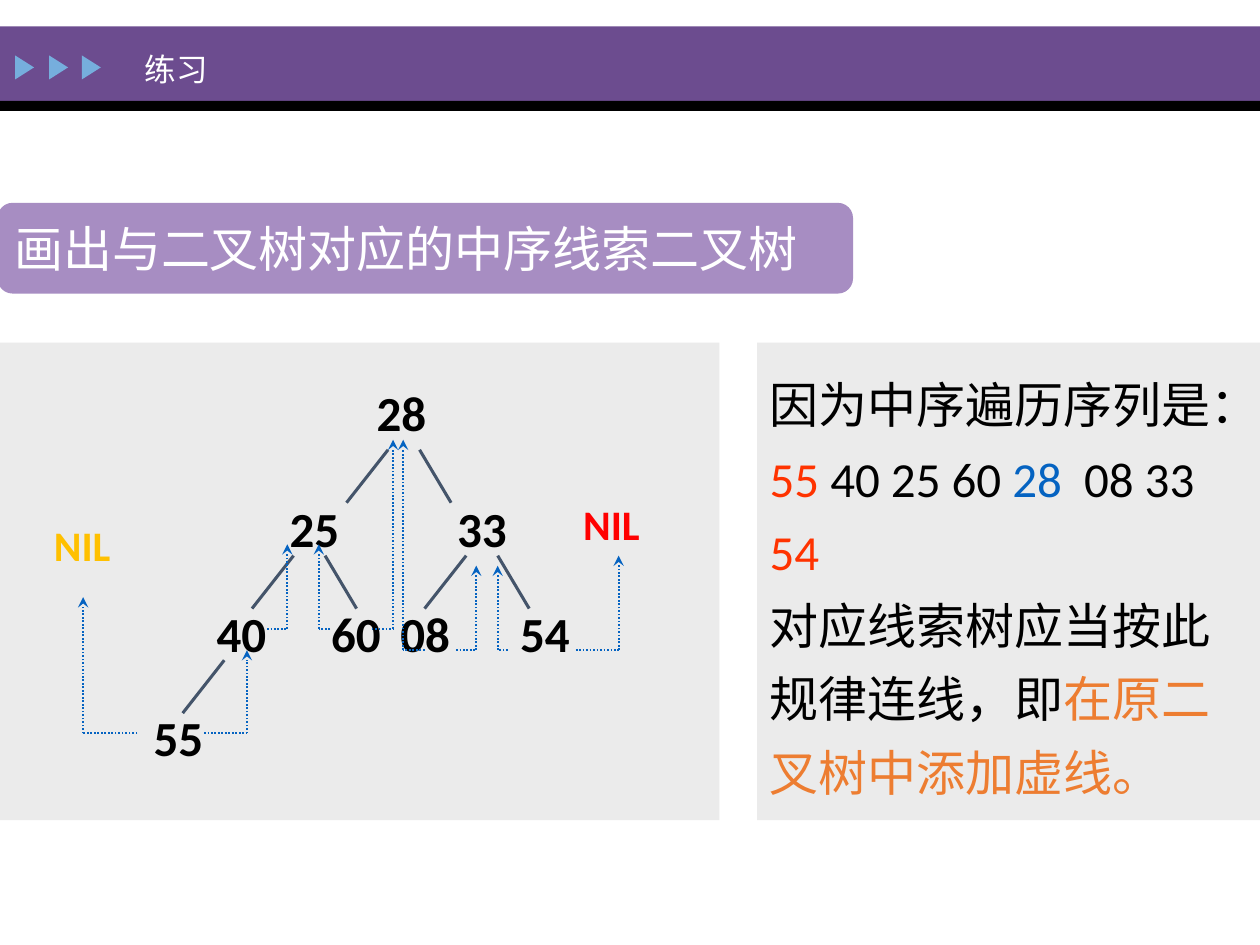
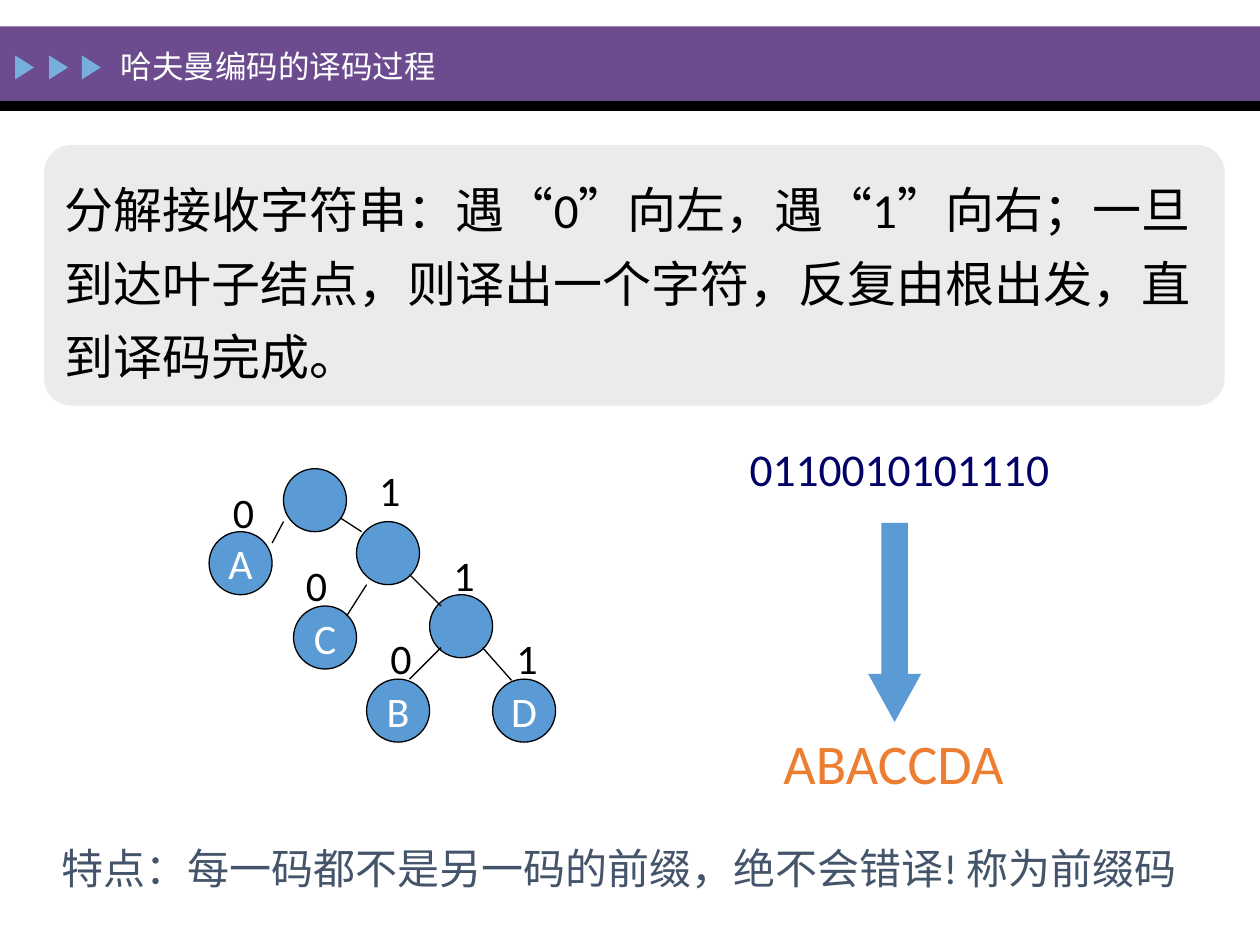
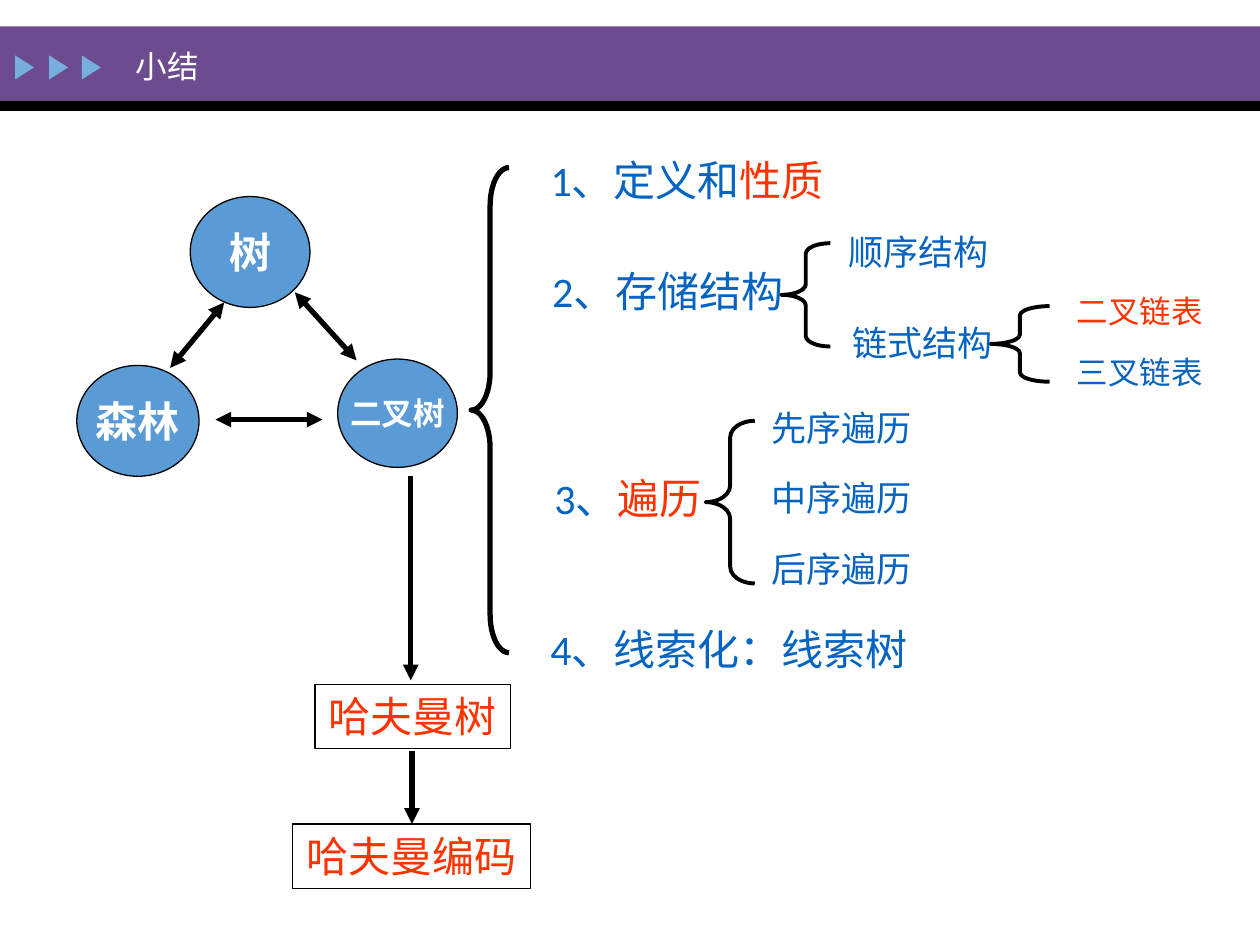
import pptx
import pptx.util
import pptx.dml.color
import pptx.enum.dml
import pptx.enum.shapes
import pptx.enum.text
import pptx.oxml.ns
from lxml import etree

Inches = pptx.util.Inches
Pt = pptx.util.Pt
RGBColor = pptx.dml.color.RGBColor
SHAPE = pptx.enum.shapes.MSO_SHAPE
ANCHOR = pptx.enum.text.MSO_ANCHOR
ALIGN = pptx.enum.text.PP_ALIGN
AUTO_SIZE = pptx.enum.text.MSO_AUTO_SIZE
DOTTED = pptx.enum.dml.MSO_LINE.ROUND_DOT

# Colours
PURPLE = RGBColor(0x6C, 0x4C, 0x8F)
LILAC = RGBColor(0xA7, 0x8D, 0xC2)
SKY = RGBColor(0x76, 0xAE, 0xDD)
BLUE = RGBColor(0x5B, 0x9B, 0xD5)
LINK_BLUE = RGBColor(0x05, 0x63, 0xC1)
NAVY = RGBColor(0x00, 0x00, 0x66)
SLATE = RGBColor(0x44, 0x54, 0x6A)
GRAY = RGBColor(0xEB, 0xEB, 0xEB)
ORANGE = RGBColor(0xED, 0x7D, 0x31)
VERMILION = RGBColor(0xFF, 0x33, 0x00)
RED = RGBColor(0xFF, 0x00, 0x00)
GOLD = RGBColor(0xFF, 0xC0, 0x00)
BLACK = RGBColor(0x00, 0x00, 0x00)
WHITE = RGBColor(0xFF, 0xFF, 0xFF)

FONT = "Calibri"


def write(shape, *paragraphs, size=24, color=BLACK, bold=False, align=ALIGN.LEFT,
          anchor=ANCHOR.TOP, wrap=True, grow=False, spacing=None):
    """Fill a shape with paragraphs: a string, or a list of (text, color) runs."""
    frame = shape.text_frame
    frame.word_wrap = wrap
    frame.vertical_anchor = anchor
    frame.auto_size = AUTO_SIZE.SHAPE_TO_FIT_TEXT if grow else AUTO_SIZE.NONE
    for index, content in enumerate(paragraphs):
        paragraph = frame.add_paragraph() if index else frame.paragraphs[0]
        paragraph.alignment = align
        if spacing:
            paragraph.line_spacing = spacing
        runs = [(content, color)] if isinstance(content, str) else content
        for text, run_color in runs:
            run = paragraph.add_run()
            run.text = text
            run.font.name = FONT
            run.font.size = Pt(size)
            run.font.bold = bold
            run.font.color.rgb = run_color


class Deck:
    def __init__(self):
        self.presentation = pptx.Presentation()
        self.presentation.slide_width = Inches(10)
        self.presentation.slide_height = Inches(7.5)
        self.slide = None

    def new_slide(self, title, left, top, width, height):
        """Start a slide with the header band, its three markers and a title."""
        self.slide = self.presentation.slides.add_slide(self.presentation.slide_layouts[6])
        self.shape(SHAPE.RECTANGLE, 0, 0.21, 10, 0.59, fill=PURPLE)
        self.shape(SHAPE.RECTANGLE, 0, 0.8, 10, 0.08, fill=BLACK)
        for marker_left in (0.1, 0.37, 0.63):
            marker = self.shape(SHAPE.ISOSCELES_TRIANGLE, marker_left, 0.46, 0.19, 0.15, fill=SKY)
            marker.rotation = 90
        self.text(left, top, width, height, title, size=18, color=WHITE,
                  anchor=ANCHOR.MIDDLE, grow=False)

    def shape(self, kind, left, top, width, height, fill=None, line=None,
              weight=0.75, adjustments=()):
        shape = self.slide.shapes.add_shape(
            kind, Inches(left), Inches(top), Inches(width), Inches(height))
        shape.shadow.inherit = False
        for index, value in enumerate(adjustments):
            shape.adjustments[index] = value
        if fill is None:
            shape.fill.background()
        else:
            shape.fill.solid()
            shape.fill.fore_color.rgb = fill
        if line is None:
            shape.line.fill.background()
        else:
            shape.line.color.rgb = line
            shape.line.width = Pt(weight)
        return shape

    def text(self, left, top, width, height, *paragraphs, grow=True, **style):
        box = self.slide.shapes.add_textbox(
            Inches(left), Inches(top), Inches(width), Inches(height))
        write(box, *paragraphs, grow=grow, **style)

    def line(self, start, end, color=BLACK, weight=0.75, dash=None, head=None, tail=None):
        connector = self.slide.shapes.add_connector(
            pptx.enum.shapes.MSO_CONNECTOR.STRAIGHT,
            *(Inches(value) for value in (*start, *end)))
        connector.line.color.rgb = color
        connector.line.width = Pt(weight)
        if dash:
            connector.line.dash_style = dash
        outline = connector.line._get_or_add_ln()
        for tag, arrow in (("a:headEnd", head), ("a:tailEnd", tail)):
            if arrow:
                etree.SubElement(outline, pptx.oxml.ns.qn(tag), type=arrow)
        etree.SubElement(connector._element.spPr, pptx.oxml.ns.qn("a:effectLst"))

    def thread(self, left, level, turn, tip):
        """Dotted thread: sideways from a node, then up to its target."""
        self.line((left, level), (turn, level), LINK_BLUE, 1, DOTTED)
        self.line((turn, level), (turn, tip), LINK_BLUE, 1, DOTTED, tail="stealth")

    def circle(self, left, top, width, height, label=None, **style):
        circle = self.shape(SHAPE.OVAL, left, top, width, height, fill=BLUE, line=BLACK)
        if label:
            write(circle, label, color=WHITE, align=ALIGN.CENTER,
                  anchor=ANCHOR.MIDDLE, wrap=False, **style)

    def brace(self, left, top, width, height, curve, weight=2.25):
        self.shape(SHAPE.LEFT_BRACE, left, top, width, height, line=BLACK,
                   weight=weight, adjustments=(curve, 0.5))

    def frame(self, left, top, width, height, label):
        frame = self.shape(SHAPE.RECTANGLE, left, top, width, height, line=BLACK)
        write(frame, label, color=VERMILION, align=ALIGN.CENTER, wrap=False, grow=True)


deck = Deck()

# Slide 1: threaded binary tree exercise
deck.new_slide("练习", 1.05, 0.17, 2.56, 0.75)
for left, width in ((0, 5.71), (6.01, 3.99)):
    deck.shape(SHAPE.RECTANGLE, left, 2.72, width, 3.79, fill=GRAY)
banner = deck.shape(SHAPE.ROUNDED_RECTANGLE, -0.02, 1.61, 6.79, 0.72, fill=LILAC)
write(banner, "画出与二叉树对应的中序线索二叉树", size=28, color=WHITE, anchor=ANCHOR.MIDDLE)

tree_nodes = (("28", 2.89, 2.99), ("25", 2.2, 3.91), ("33", 3.53, 3.91), ("40", 1.62, 4.74),
              ("60", 2.53, 4.74), ("08", 3.08, 4.74), ("54", 4.03, 4.74), ("55", 1.12, 5.57))
for label, left, top in tree_nodes:
    deck.text(left, top, 0.59, 0.57, label, size=28, bold=True, wrap=False)

# Each branch: parent end, top, child end
branches = ((3.08, 3.57, 2.75), (3.33, 3.57, 3.58), (2.33, 4.41, 2), (2.58, 4.41, 2.83),
            (3.7, 4.41, 3.37), (3.95, 4.41, 4.2), (1.78, 5.24, 1.45))
for parent, top, child in branches:
    deck.line((parent, top), (child, top + 0.42), SLATE, 1.75)

# Each thread: start, level, turn, tip
threads = ((1.09, 5.82, 0.66, 4.74), (1.62, 5.82, 1.96, 5.16), (2.12, 4.99, 2.28, 4.32),
           (2.62, 4.99, 2.53, 4.32), (2.95, 4.99, 3.12, 3.49), (3.37, 5.16, 3.2, 3.49),
           (3.62, 5.16, 3.78, 4.49), (4.03, 5.16, 3.95, 4.49), (4.57, 5.16, 4.91, 4.41))
for thread in threads:
    deck.thread(*thread)
for left, top, color in ((0.33, 4.07, GOLD), (4.53, 3.91, RED)):
    deck.text(left, top, 0.8, 0.51, "NIL", color=color, bold=True, wrap=False)

deck.text(6.01, 2.81, 3.99, 3.64,
          [("因为中序遍历序列是：", BLACK), ("55", VERMILION), (" 40 25 60 ", BLACK),
           ("28", LINK_BLUE), ("  08 33 ", BLACK), ("54", VERMILION)],
          [("对应线索树应当按此规律连线，即", BLACK), ("在原二叉树中添加虚线。", ORANGE)],
          size=28, spacing=1.25)

# Slide 2: Huffman decoding
deck.new_slide("哈夫曼编码的译码过程", 0.86, 0.24, 5, 0.56)
rule = deck.shape(SHAPE.ROUNDED_RECTANGLE, 0.35, 1.15, 9.37, 2.07, fill=GRAY,
                  adjustments=(0.106,))
write(rule, "分解接收字符串：遇“0”向左，遇“1”向右；一旦到达叶子结点，则译出一个字符，"
            "反复由根出发，直到译码完成。",
      size=28, anchor=ANCHOR.MIDDLE, spacing=1.25, grow=True)

code_nodes = ((2.25, 3.72, None), (2.83, 4.14, None), (3.41, 4.72, None),
              (1.66, 4.22, "A"), (2.33, 4.81, "C"), (2.91, 5.39, "B"), (3.91, 5.39, "D"))
for left, top, label in code_nodes:
    deck.circle(left, top, 0.5, 0.5, label)
code_branches = (((2.25, 4.14), (2.16, 4.31)), ((2.7, 4.11), (2.87, 4.22)),
                 ((2.91, 4.64), (2.75, 4.89)), ((3.25, 4.56), (3.5, 4.81)),
                 ((3.5, 5.14), (3.25, 5.39)), ((3.83, 5.14), (4.06, 5.4)))
for start, end in code_branches:
    deck.line(start, end)
bits = (("0", 1.75, 3.81), ("0", 2.33, 4.39), ("0", 3, 4.97),
        ("1", 2.91, 3.64), ("1", 3.5, 4.31), ("1", 4, 4.97))
for bit, left, top in bits:
    deck.text(left, top, 0.58, 0.5, bit)

deck.text(5.85, 3.45, 2.75, 0.53, "0110010101110", size=26, color=NAVY)
deck.shape(SHAPE.DOWN_ARROW, 6.89, 4.15, 0.42, 1.58, fill=BLUE, adjustments=(0.5, 0.908))
deck.text(6.12, 5.73, 2.17, 0.64, "ABACCDA", size=32, color=ORANGE)
deck.text(0.39, 6.64, 9.3, 0.5, "特点：每一码都不是另一码的前缀，绝不会错译! 称为前缀码",
          color=SLATE, wrap=False)

# Slide 3: summary
deck.new_slide("小结", 0.98, 0.24, 1.83, 0.57)
deck.brace(3.74, 1.33, 0.3, 3.85, 1.003, weight=3)
topics = ((4.15, 1.18, 2.61, [("1、定义和", LINK_BLUE), ("性质", VERMILION)]),
          (4.03, 2.06, 2.54, "2、存储结构"),
          (4.13, 3.7, 1.71, [("3、", LINK_BLUE), ("遍历", VERMILION)]),
          (4.14, 4.9, 3.29, "4、线索化：线索树"))
for left, top, width, topic in topics:
    deck.text(left, top, width, 0.5, topic, color=LINK_BLUE, align=ALIGN.CENTER)

# Sub-topics and their braces
for brace in ((6.2, 1.93, 0.39, 0.82, 0.214), (7.86, 2.43, 0.47, 0.6, 0.156),
              (5.6, 3.34, 0.39, 1.29, 0.337)):
    deck.brace(*brace)
for left, top, label in ((6.63, 1.78, "顺序结构"), (6.66, 2.5, "链式结构"),
                         (6.02, 3.18, "先序遍历"), (6.02, 3.73, "中序遍历"),
                         (6.02, 4.3, "后序遍历")):
    deck.text(left, top, 1.32, 0.43, label, size=20, color=LINK_BLUE,
              align=ALIGN.CENTER, wrap=False)
for top, label, color in ((2.27, "二叉链表", VERMILION), (2.75, "三叉链表", LINK_BLUE)):
    deck.text(8.44, top, 1.21, 0.4, label, size=18, color=color,
              align=ALIGN.CENTER, wrap=False)

# Conversions between tree, forest and binary tree
deck.circle(1.51, 1.56, 0.95, 0.88, "树", bold=True)
deck.circle(2.68, 2.85, 0.95, 0.86, "二叉树", size=18, bold=True)
deck.circle(0.61, 2.9, 0.97, 0.88, "森林", bold=True)
for start, end in (((2.34, 2.32), (2.83, 2.86)), ((1.78, 2.4), (1.35, 2.92)),
                   ((1.71, 3.33), (2.56, 3.33))):
    deck.line(start, end, weight=3, head="triangle", tail="triangle")

# From binary tree to Huffman code
deck.line((3.26, 3.78), (3.26, 5.4), weight=3, tail="triangle")
deck.frame(2.5, 5.43, 1.55, 0.51, "哈夫曼树")
deck.line((3.27, 5.96), (3.27, 6.54), weight=3, tail="triangle")
deck.frame(2.32, 6.54, 1.89, 0.51, "哈夫曼编码")

deck.presentation.save("out.pptx")
